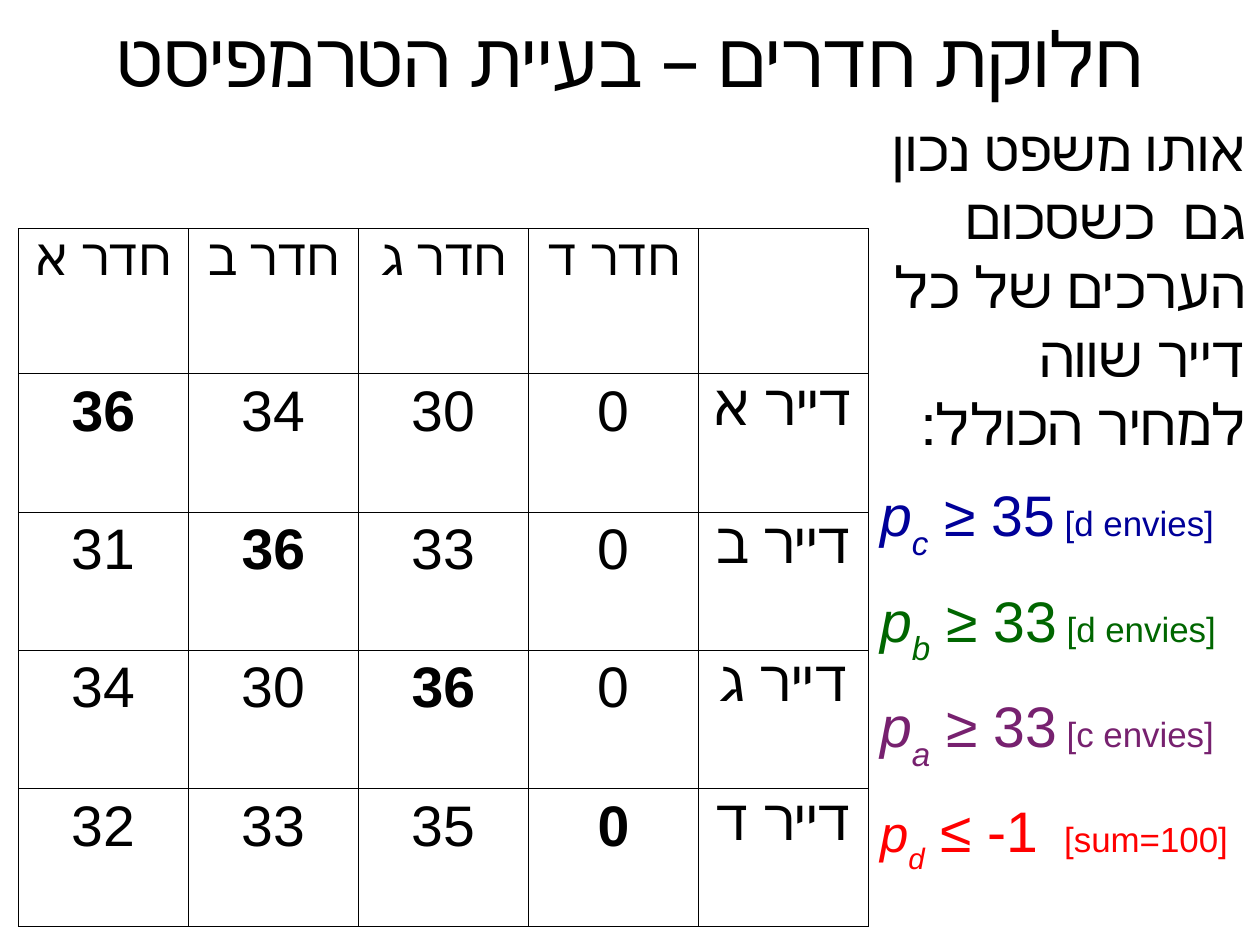
from pptx import Presentation
from pptx.dml.color import RGBColor as Rgb
from pptx.enum.text import MSO_ANCHOR as Anchor, PP_ALIGN as Align
from pptx.oxml import parse_xml
from pptx.oxml.ns import nsdecls
from pptx.util import Cm, Inches, Pt

COLORS = {"ink": "000000", "blue": "000099", "green": "006600",
          "plum": "77216F", "red": "FF0000"}


class Page:
    def __init__(self, slide, font="Arial"):
        self.slide = slide
        self.font = font

    def style(self, para, size, color="ink", align=Align.LEFT, bold=False, rtl=False):
        font = para.font
        font.name, font.size, font.bold = self.font, Pt(size), bold
        font.color.rgb = Rgb.from_string(COLORS[color])
        para.alignment = align
        if rtl:
            para._p.get_or_add_pPr().set("rtl", "1")

    def box(self, x, y, w, h, anchor=Anchor.TOP):
        frame = self.slide.shapes.add_textbox(
            Inches(x), Inches(y), Inches(w), Inches(h)).text_frame
        frame.word_wrap = True
        frame.vertical_anchor = anchor
        frame.margin_left = frame.margin_right = 0
        frame.margin_top = frame.margin_bottom = 0
        return frame

    def price(self, frame, sub, bound, note, color, size=36):
        para = frame.add_paragraph()
        self.style(para, 36, color)
        para.space_before = Pt(14.2)
        for text, pts, slant, base in (("p", size, True, None),
                                       (sub, size, True, "-33000"),
                                       (bound, 36, False, None),
                                       (note, 22, False, None)):
            run = para.add_run()
            run.text = text
            run.font.size, run.font.italic = Pt(pts), slant
            if base:
                run.font._element.set("baseline", base)

    def cell(self, cell, text, size, bold, rtl):
        props = cell._tc.get_or_add_tcPr()
        for side in "LRTB":
            props.append(parse_xml(
                f'<a:ln{side} {nsdecls("a")} w="{Pt(0.57)}"><a:solidFill>'
                f'<a:srgbClr val="{COLORS["ink"]}"/></a:solidFill></a:ln{side}>'))
        cell.fill.background()
        para = cell.text_frame.paragraphs[0]
        if text:
            para.text = text
        self.style(para, size, align=Align.CENTER, bold=bold, rtl=rtl)

    def table(self, x, y, width, heights, rows):
        count = len(rows[0])
        grid = self.slide.shapes.add_table(
            len(rows), count, Inches(x), Inches(y),
            Inches(width), Inches(sum(heights))).table
        grid.first_row = grid.horz_banding = False
        for col in grid.columns:
            col.width = Inches(width / count)
        for r, (row, height) in enumerate(zip(rows, heights)):
            grid.rows[r].height = Inches(height)
            for c, text in enumerate(row):
                # Each tenant's assigned room lies on the diagonal
                self.cell(grid.cell(r, c), text, 36 if r else 32,
                          r == c + 1, not text.isdigit())


def main():
    deck = Presentation()
    deck.slide_width = Cm(28)
    deck.slide_height = Cm(21)
    page = Page(deck.slides.add_slide(deck.slide_layouts[6]))

    # Title
    title = page.box(0, 0, 11.02, 1, Anchor.MIDDLE).paragraphs[0]
    title.text = "חלוקת חדרים – בעיית הטרמפיסט"
    page.style(title, 48, align=Align.CENTER, rtl=True)

    # Claim and price bounds
    side = page.box(7.7, 1, 3.2, 6.9)
    claim = side.paragraphs[0]
    claim.text = "אותו משפט נכון גם  כשסכום הערכים של כל דייר שווה למחיר הכולל:"
    page.style(claim, 36, align=Align.RIGHT, rtl=True)
    claim.space_before = Pt(14.2)
    page.price(side, "c", " ≥ 35", " [d envies]", "blue")
    page.price(side, "b", " ≥ 33", " [d envies]", "green")
    page.price(side, "a", " ≥ 33", " [c envies]", "plum")
    page.price(side, "d", " ≤ -1 ", " [sum=100]", "red", size=32)

    # Room values by tenant
    values = ((36, 34, 30, 0), (31, 36, 33, 0), (34, 30, 36, 0), (32, 33, 35, 0))
    letters = "אבגד"
    rows = [[f"חדר {room}" for room in letters] + [""]]
    rows += [[*map(str, line), f"דייר {tenant}"]
             for tenant, line in zip(letters, values)]
    page.table(0.16, 2, 7.44, [1.27] + [1.21] * 4, rows)

    deck.save("out.pptx")


if __name__ == "__main__":
    main()
